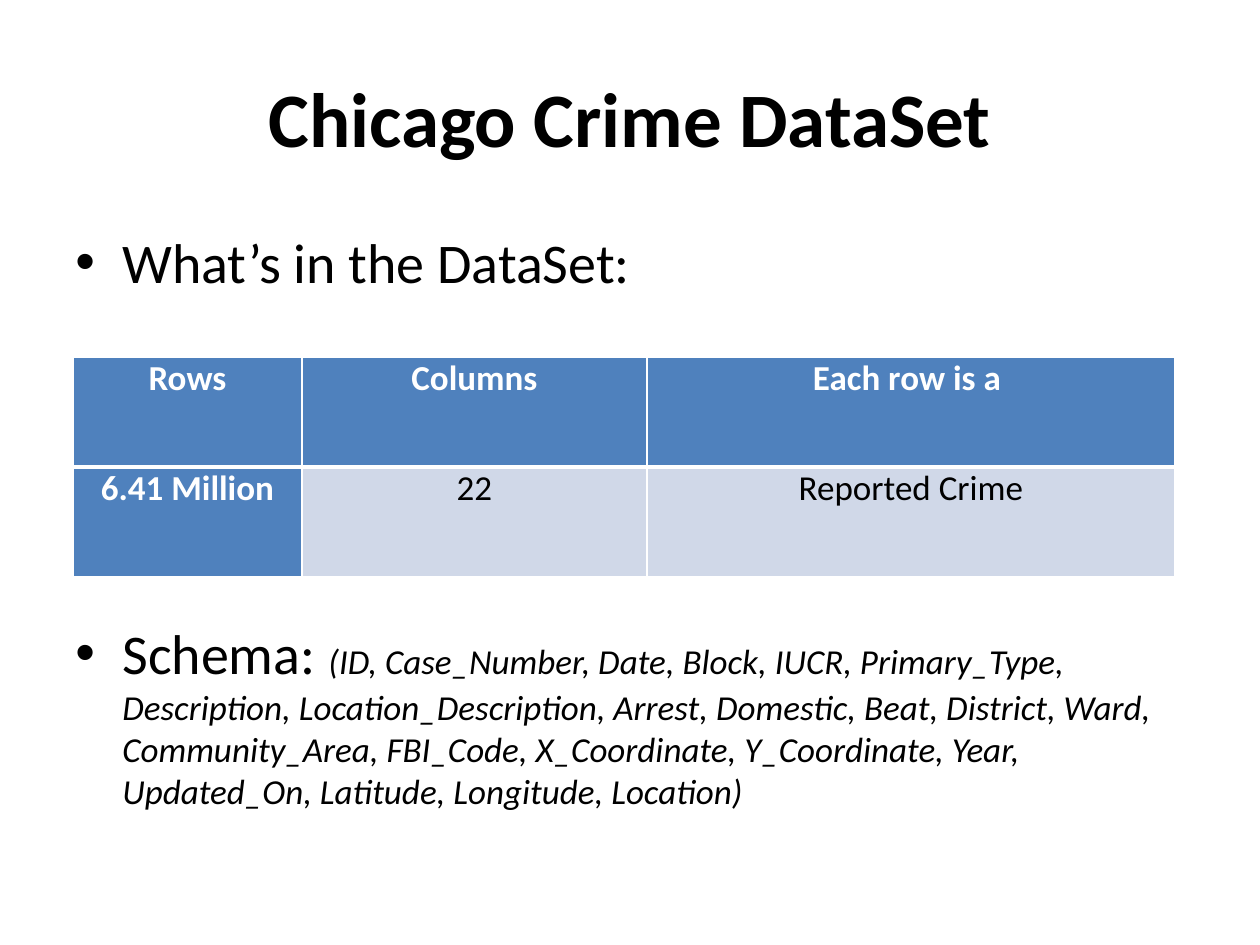
from dataclasses import dataclass

from lxml.etree import SubElement
from pptx import Presentation
from pptx.dml.color import RGBColor
from pptx.enum.text import MSO_ANCHOR, PP_ALIGN
from pptx.oxml.ns import qn
from pptx.util import Emu, Pt


@dataclass(frozen=True)
class Theme:
    font: str = "Calibri"
    ink: str = "000000"
    white: str = "FFFFFF"
    blue: str = "4F81BD"
    pale: str = "D0D8E8"
    title: int = 44
    body: int = 32
    small: int = 20


THEME = Theme()
COLS = (229, 345, 528)
ROW = 110
CELLS = (("Rows", "Columns", "Each row is a "),
         ("6.41 Million", "22", "Reported Crime"))
FIELDS = ("(ID, Case_Number, Date, Block, IUCR, Primary_Type, Description, "
          "Location_Description, Arrest, Domestic, Beat, District, Ward, "
          "Community_Area, FBI_Code, X_Coordinate, Y_Coordinate, Year, "
          "Updated_On, Latitude, Longitude, Location)")


def px(n):
    """Turn pixels (126 to the inch) into EMU."""
    return Emu(round(n * 914400 / 126))


def style(run, size, color=THEME.ink, bold=False, italic=False):
    font = run.font
    font.name, font.size = THEME.font, Pt(size)
    font.bold, font.italic = bold, italic
    font.color.rgb = RGBColor.from_string(color)


def add_box(slide, *place):
    frame = slide.shapes.add_textbox(*map(px, place)).text_frame
    frame.word_wrap = True
    return frame


def add_title(slide, text):
    frame = add_box(slide, 63, 38, 1134, 158)
    frame.vertical_anchor = MSO_ANCHOR.MIDDLE
    frame.text = text
    para = frame.paragraphs[0]
    para.alignment = PP_ALIGN.CENTER
    style(para.runs[0], THEME.title, bold=True)


def set_bullet(para):
    props = para._p.get_or_add_pPr()
    props.set("marL", str(px(47)))
    props.set("indent", str(-px(47)))
    SubElement(props, qn("a:buFont"), typeface="Arial")
    SubElement(props, qn("a:buChar"), char="•")


def add_body(slide):
    frame = add_box(slide, 63, 221, 1134, 624)
    frame.text = "What’s in the DataSet:\nSchema: "
    first, schema = frame.paragraphs
    for para in (first, schema):
        style(para.runs[0], THEME.body)
    # Room for the table between the two bullets
    schema.space_before = Pt(185)
    for para in (first, schema):
        set_bullet(para)
    run = schema.add_run()
    run.text = FIELDS
    style(run, THEME.small, italic=True)


def set_border(cell, **widths):
    """Draw white cell edges; they come before the fill in the XML."""
    props = cell._tc.get_or_add_tcPr()
    for spot, side in enumerate("LRTB"):
        line = SubElement(props, qn(f"a:ln{side}"),
                          w=str(Pt(widths.get(side, 1))))
        fill = SubElement(line, qn("a:solidFill"))
        SubElement(fill, qn("a:srgbClr"), val=THEME.white)
        props.insert(spot, line)


def fill_cell(cell, text, head):
    cell.margin_left = cell.margin_right = px(9)
    cell.margin_top = cell.margin_bottom = 0
    cell.fill.solid()
    cell.fill.fore_color.rgb = RGBColor.from_string(
        THEME.blue if head else THEME.pale)
    cell.text = text
    para = cell.text_frame.paragraphs[0]
    para.alignment = PP_ALIGN.CENTER
    style(para.runs[0], THEME.small, THEME.white if head else THEME.ink, head)


def add_grid(slide):
    frame = slide.shapes.add_table(len(CELLS), len(COLS), px(73), px(357),
                                   px(sum(COLS)), px(ROW * len(CELLS)))
    table = frame.table
    table.first_col = True
    table.horz_banding = False
    for col, width in zip(table.columns, COLS):
        col.width = px(width)
    for r, texts in enumerate(CELLS):
        table.rows[r].height = px(ROW)
        # Thick rule between the header and the data
        rule = {"T": 3} if r else {"B": 3}
        for c, text in enumerate(texts):
            cell = table.cell(r, c)
            fill_cell(cell, text, head=r == 0 or c == 0)
            set_border(cell, **rule)


def main():
    deck = Presentation()
    deck.slide_width, deck.slide_height = px(1260), px(945)
    slide = deck.slides.add_slide(deck.slide_layouts[6])
    add_title(slide, "Chicago Crime DataSet")
    add_body(slide)
    add_grid(slide)
    deck.save("out.pptx")


if __name__ == "__main__":
    main()
